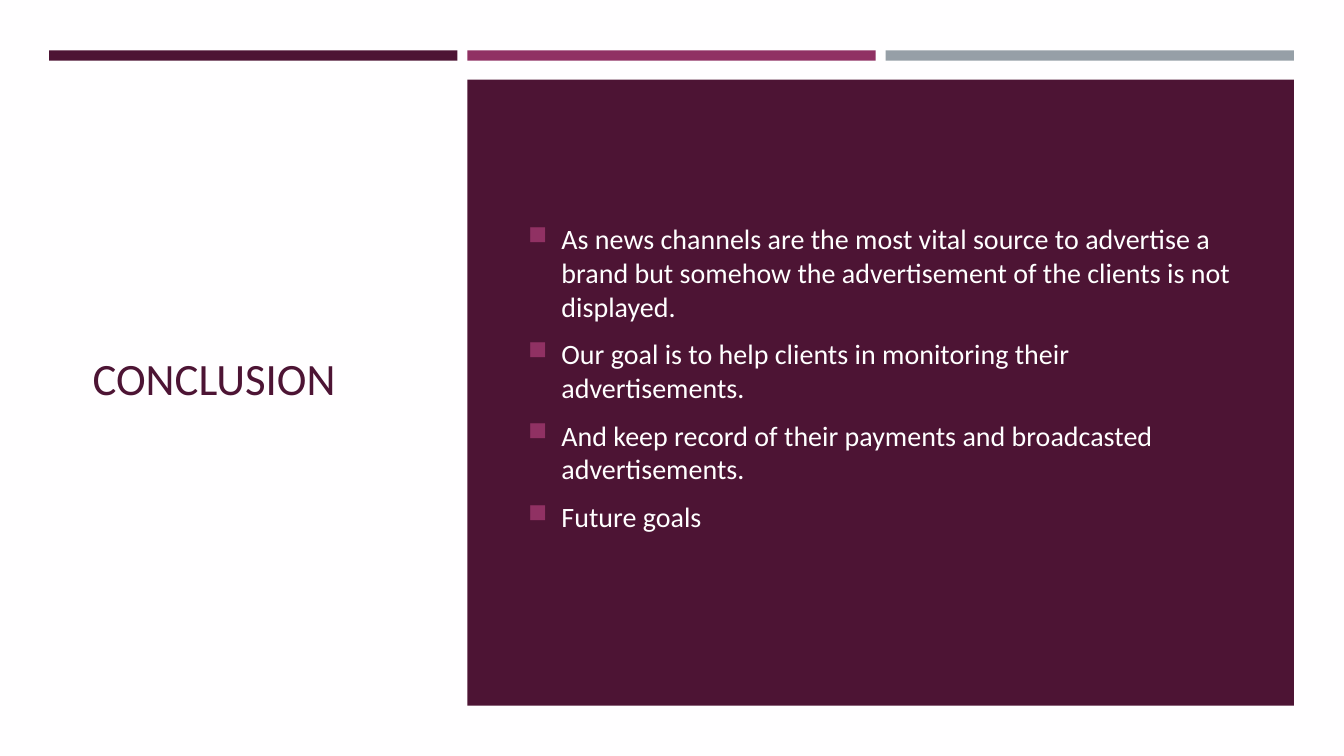
"""Build the conclusion slide: a title beside a dark panel of bullet points."""
from lxml import etree
from pptx import Presentation
from pptx import util as u
from pptx.dml.color import RGBColor
from pptx.enum import shapes, text
from pptx.oxml import ns

PAPER = RGBColor(0xFF, 0xFE, 0xFF)
WHITE = RGBColor(0xFF, 0xFF, 0xFF)
PLUM = RGBColor(0x4D, 0x14, 0x34)
MAGENTA = RGBColor(0x90, 0x31, 0x63)
GREY = RGBColor(0x96, 0x9F, 0xA7)
FONT = "Calibri"
POINTS = [
    "As news channels are the most vital source to advertise a brand but "
    "somehow the advertisement of the clients is not displayed.",
    "Our goal is to help clients in monitoring their advertisements.",
    "And keep record of their payments and broadcasted advertisements.",
    "Future goals",
]


def add_block(slide, left, top, width, height, color):
    block = slide.shapes.add_shape(
        shapes.MSO_SHAPE.RECTANGLE, u.Cm(left), u.Cm(top), u.Cm(width), u.Cm(height))
    block.shadow.inherit = False
    block.fill.solid()
    block.fill.fore_color.rgb = color
    block.line.fill.background()


def style_font(font, size, color):
    font.name = FONT
    font.size = u.Pt(size)
    font.color.rgb = color


def set_title(slide, wording):
    title = slide.shapes.title
    title.left, title.top = u.Cm(2.08), u.Cm(2.97)
    title.width, title.height = u.Cm(8.48), u.Cm(13.08)
    frame = title.text_frame
    frame.text = wording
    frame.word_wrap = True
    frame.vertical_anchor = text.MSO_ANCHOR.MIDDLE
    heading = frame.paragraphs[0]
    heading.alignment = text.PP_ALIGN.LEFT
    style_font(heading.runs[0].font, 32, PLUM)


def add_bullet(paragraph):
    properties = paragraph._p.get_or_add_pPr()
    indent = u.Cm(0.84)
    properties.set("marL", str(indent))
    properties.set("indent", str(-indent))
    color = etree.SubElement(properties, ns.qn("a:buClr"))
    etree.SubElement(color, ns.qn("a:srgbClr"), val=str(MAGENTA))
    etree.SubElement(properties, ns.qn("a:buSzPct"), val="92000")
    etree.SubElement(properties, ns.qn("a:buChar"), char="■")


def add_points(slide, points):
    frame = slide.shapes.add_textbox(
        u.Cm(13.06), u.Cm(2.97), u.Cm(18.34), u.Cm(13.08)).text_frame
    frame.word_wrap = True
    frame.vertical_anchor = text.MSO_ANCHOR.MIDDLE
    frame.text = "\n".join(points)
    for index, point in enumerate(frame.paragraphs):
        add_bullet(point)
        point.space_before = u.Pt(4 if index else 0)
        point.space_after = u.Pt(6)
        style_font(point.runs[0].font, 20, WHITE)


def main():
    deck = Presentation()
    deck.slide_width, deck.slide_height = u.Cm(33.87), u.Cm(19.05)
    slide = deck.slides.add_slide(deck.slide_layouts[5])
    slide.background.fill.solid()
    slide.background.fill.fore_color.rgb = PAPER
    set_title(slide, "CONCLUSION")
    for column, color in enumerate((PLUM, MAGENTA, GREY)):
        add_block(slide, 1.24 + column * 10.54, 1.27, 10.29, 0.26, color)
    add_block(slide, 11.78, 2.01, 20.83, 15.77, PLUM)
    add_points(slide, POINTS)
    deck.save("out.pptx")


if __name__ == "__main__":
    main()
